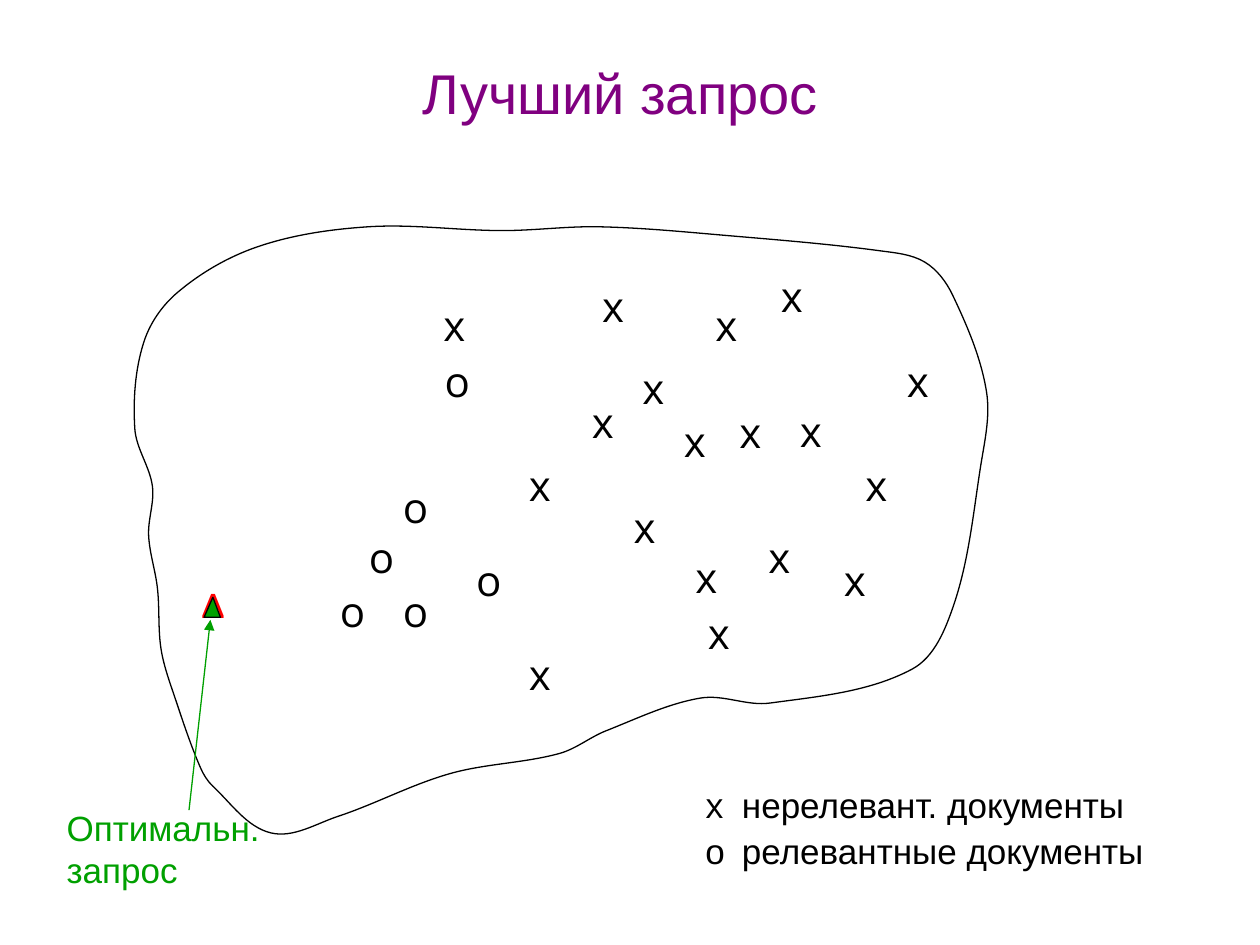
from math import dist

from lxml import etree
from pptx import Presentation
from pptx import util as u
from pptx.dml.color import RGBColor
from pptx.enum import shapes, text
from pptx.oxml.ns import qn

WIDTH, HEIGHT = u.Inches(10), u.Inches(7.5)
COLS, ROWS = 100, 75  # layout grid: every place is given in columns and rows
COLORS = {"ink": "000000", "paper": "FFFFFF", "title": "800080",
          "optimum": "00A000", "delta": "FF0000"}

# Fonts of the text roles
TITLE = {"name": "Arial", "size": u.Pt(32)}
LABEL = {"name": "Arial", "size": u.Pt(20)}
KEY = {"name": "Open Sans", "size": u.Pt(20)}
MARK = {"name": "Open Sans", "size": u.Pt(24)}

# Documents: width of the mark's box and its places
DOCUMENTS = {
    "x": (3.3, [(41, 36), (46, 31), (49.3, 39.3), (60, 41.7), (34.2, 23.3),
                (46.8, 21.8), (62.5, 31.7), (57.7, 31.8), (50, 28.3), (61, 21),
                (53.3, 32.5), (55.8, 23.3), (41, 51), (54.2, 43.3), (67.7, 36),
                (55.2, 47.7), (66, 43.5), (71, 27.7)]),
    "o": (6.7, [(26, 46), (36.8, 43.5), (31, 46), (28.3, 41.7), (34.3, 27.7),
                (31, 37.7)]),
}

# Points that the collection's smooth border runs through
BORDER = [
    (15.9, 60.9), (14, 55.7), (12.8, 51.6), (12.5, 46.7), (11.8, 42.5),
    (12.1, 38.6), (10.7, 34), (11.4, 27.2), (14.1, 23.2), (20.4, 19.6),
    (29.2, 18), (39.9, 18.3), (47.6, 18), (57.8, 18.7), (69.8, 19.9),
    (73.4, 20.8), (75.6, 23.4), (78.3, 31.1), (77.8, 37.2), (75.7, 48),
    (72.4, 53.1), (61.1, 55.8), (55.6, 55.4), (48.1, 58), (44.4, 59.8),
    (35.7, 61.4), (26.8, 64.8), (21.5, 66.1), (16.9, 62.4)]


def rgb(color):
    return RGBColor.from_string(COLORS[color])


def at(col, row):
    return round(WIDTH * col / COLS), round(HEIGHT * row / ROWS)


def add_text(parent, place, size, lines, color="ink", **frame_format):
    """Each line is a list of (wording, font) runs."""
    frame = parent.add_textbox(*at(*place), *at(*size)).text_frame
    for key, value in {"word_wrap": True, **frame_format}.items():
        setattr(frame, key, value)
    for number, line in enumerate(lines):
        paragraph = frame.add_paragraph() if number else frame.paragraphs[0]
        for wording, font in line:
            run = paragraph.add_run()
            run.text = wording
            run.font.color.rgb = rgb(color)
            for key, value in font.items():
                setattr(run.font, key, value)
    return frame


def add_outline(parent, start, points, fill):
    builder = parent.build_freeform(*at(*start))
    builder.add_line_segments([at(*point) for point in points], close=True)
    outline = builder.convert_to_shape()
    outline.shadow.inherit = False
    outline.fill.solid()
    outline.fill.fore_color.rgb = rgb(fill)
    outline.line.color.rgb = rgb("ink")
    outline.line.width = u.Pt(0.75)
    return outline


def handle(before, point, after, reach):
    """Curve handle at point, parallel to the line between its neighbours."""
    share = reach / 3 / dist(before, after)
    return tuple(p + (a - b) * share for b, p, a in zip(before, point, after))


def smooth_curves(points):
    """Two handles and an end for each curve of a closed loop."""
    steps = []
    for i, end in enumerate(points):
        before, start, after = points[i - 2], points[i - 1], points[(i + 1) % len(points)]
        reach = dist(start, end)
        steps += [handle(before, start, end, reach), handle(after, end, start, reach), end]
    return steps


def bend(outline):
    """Join every three straight steps into one Bézier curve."""
    steps = list(outline._element.iter(qn("a:lnTo")))
    for first, second, end in zip(steps[::3], steps[1::3], steps[2::3]):
        first.tag = qn("a:cubicBezTo")
        for step in (second, end):
            first.append(step[0])
            step.getparent().remove(step)


def add_arrow(parent, start, end, color):
    arrow = parent.add_connector(shapes.MSO_CONNECTOR.STRAIGHT, *at(*start), *at(*end))
    arrow.line.color.rgb = rgb(color)
    arrow.line.width = u.Pt(0.75)
    etree.SubElement(arrow.line._get_or_add_ln(), qn("a:tailEnd"), type="triangle")
    etree.SubElement(arrow._element.spPr, qn("a:effectLst"))


def add_legend(parent):
    legend = add_text(parent, (55, 61.7), (39.2, 8), [
        [("x\t", KEY), ("нерелевант. документы", LABEL)],
        [("o\t", LABEL), ("релевантные документы", LABEL)]])
    legend.paragraphs[1].space_before = u.Pt(2.5)
    for paragraph in legend.paragraphs:
        tabs = etree.SubElement(paragraph._p.get_or_add_pPr(), qn("a:tabLst"))
        etree.SubElement(tabs, qn("a:tab"), pos=str(u.Inches(0.29)), algn="l")


def main():
    deck = Presentation()
    deck.slide_width, deck.slide_height = WIDTH, HEIGHT
    slide = deck.slides.add_slide(deck.slide_layouts[6]).shapes

    # Collection and title
    bend(add_outline(slide, BORDER[-1], smooth_curves(BORDER), "paper"))
    title = add_text(slide, (5, 3), (88.5, 7.7), [[("Лучший запрос", TITLE)]], "title",
                     vertical_anchor=text.MSO_ANCHOR.BOTTOM, margin_bottom=u.Inches(0.07))
    title.paragraphs[0].alignment = text.PP_ALIGN.CENTER

    # Documents and their legend
    for mark, (width, places) in DOCUMENTS.items():
        for place in places:
            add_text(slide, place, (width, 5), [[(mark, MARK)]])
    add_legend(slide)

    # Optimal query
    add_text(slide, (4.3, 63.5), (19.2, 7.7), [[("Оптимальн. запрос", LABEL)]], "optimum")
    add_arrow(slide, (15, 64.3), (16.7, 49.2), "optimum")
    optimum = slide.add_group_shape().shapes
    add_text(optimum, (15, 45.8), (5, 4.4), [[("Δ", LABEL)]], "delta")
    add_outline(optimum, (16.2, 49), [(16.9, 47.4), (17.5, 49)], "optimum")

    deck.save("out.pptx")


if __name__ == "__main__":
    main()
